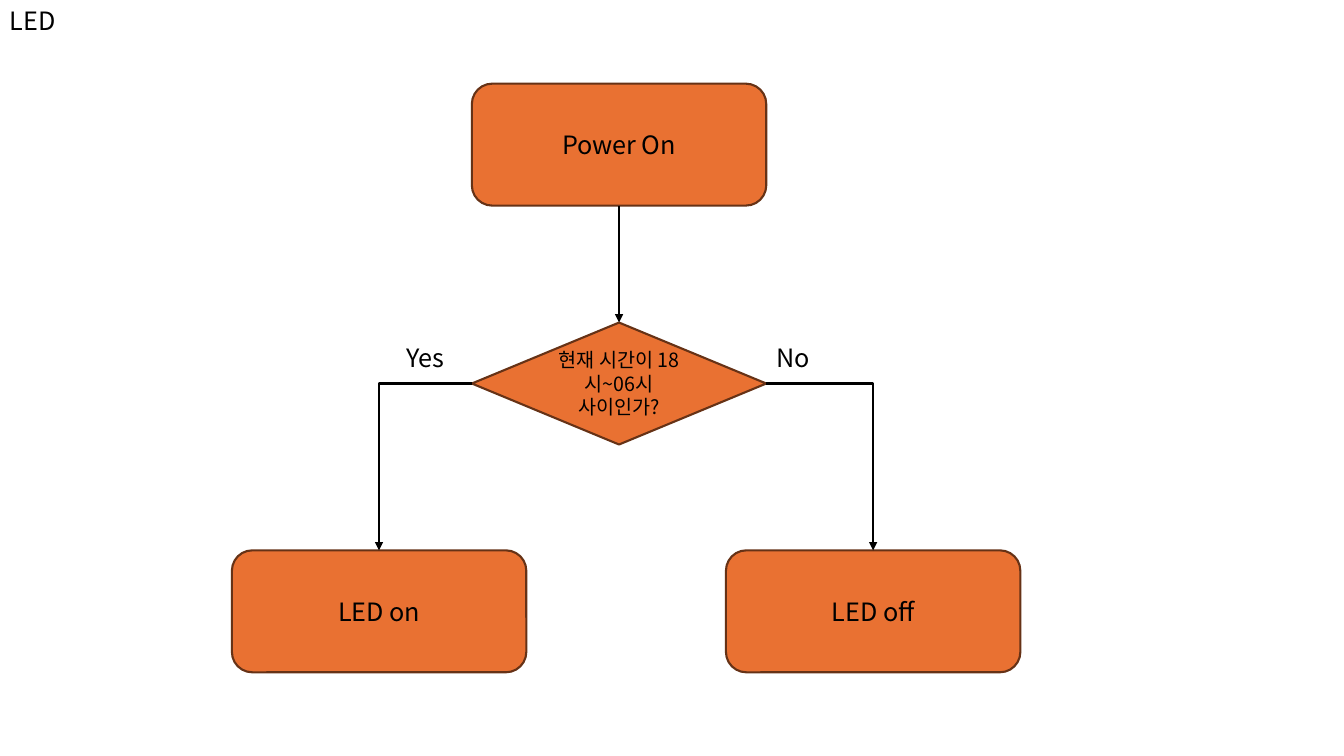
from dataclasses import dataclass

from lxml import etree
from pptx import Presentation
from pptx.dml.color import RGBColor
from pptx.enum.shapes import MSO_CONNECTOR, MSO_SHAPE
from pptx.enum.text import MSO_ANCHOR, MSO_AUTO_SIZE, PP_ALIGN
from pptx.oxml.ns import qn
from pptx.util import Emu, Pt

ROUNDED = MSO_SHAPE.ROUNDED_RECTANGLE
DIAMOND = MSO_SHAPE.DIAMOND
STRAIGHT = MSO_CONNECTOR.STRAIGHT
ELBOW = MSO_CONNECTOR.ELBOW
MIDDLE = MSO_ANCHOR.MIDDLE
CENTER = PP_ALIGN.CENTER
LEFT = PP_ALIGN.LEFT
GROW = MSO_AUTO_SIZE.SHAPE_TO_FIT_TEXT

PX = 9144
SLIDE_WIDTH, SLIDE_HEIGHT = 1333, 750
NODE_WIDTH, NODE_HEIGHT = 292, 121
LABEL_WIDTH, LABEL_HEIGHT = 75, 40
TOP_SITE, LEFT_SITE, BOTTOM_SITE, RIGHT_SITE = range(4)


@dataclass(frozen=True)
class Theme:
    """Colours, font and sizes of the flowchart."""

    font: str = "Noto Sans CJK KR"
    text: RGBColor = RGBColor(0x00, 0x00, 0x00)
    fill: RGBColor = RGBColor(0xE9, 0x71, 0x32)
    outline: RGBColor = RGBColor(0x66, 0x32, 0x16)
    arrow: RGBColor = RGBColor(0x00, 0x00, 0x00)
    body_size: Pt = Pt(18)
    question_size: Pt = Pt(14)
    line_width: Pt = Pt(1.5)


THEME = Theme()


def px(*lengths):
    """Turn pixel lengths into EMU."""
    return [Emu(length * PX) for length in lengths]


def write_text(shape, text, size, alignment):
    """Write one styled run into a shape."""
    paragraph = shape.text_frame.paragraphs[0]
    paragraph.alignment = alignment
    run = paragraph.add_run()
    run.text = text
    run.font.size = size
    run.font.color.rgb = THEME.text
    run.font.name = THEME.font
    etree.SubElement(run.font._element, qn("a:ea"), typeface=THEME.font)


def add_node(slide, kind, left, top, text, size=THEME.body_size):
    """Add one flowchart node."""
    shape = slide.shapes.add_shape(kind, *px(left, top, NODE_WIDTH, NODE_HEIGHT))
    shape.shadow.inherit = False
    shape.fill.solid()
    shape.fill.fore_color.rgb = THEME.fill
    shape.line.color.rgb = THEME.outline
    shape.line.width = THEME.line_width
    shape.text_frame.word_wrap = True
    shape.text_frame.vertical_anchor = MIDDLE
    write_text(shape, text, size, CENTER)
    return shape


def add_arrow(slide, kind, source, source_site, target):
    """Join a side of one node to the top of another with an arrow."""
    connector = slide.shapes.add_connector(kind, 0, 0, 0, 0)
    connector.begin_connect(source, source_site)
    connector.end_connect(target, TOP_SITE)
    connector.line.color.rgb = THEME.arrow
    connector.line.width = THEME.line_width
    properties = connector._element.spPr
    if kind == ELBOW:
        properties.find(qn("a:prstGeom")).set("prst", "bentConnector2")
    etree.SubElement(properties.find(qn("a:ln")), qn("a:tailEnd"), type="triangle")
    etree.SubElement(properties, qn("a:effectLst"))


def add_label(slide, left, top, width, text):
    """Add a plain line of text."""
    label = slide.shapes.add_textbox(*px(left, top, width, LABEL_HEIGHT))
    label.text_frame.word_wrap = True
    label.text_frame.auto_size = GROW
    write_text(label, text, THEME.body_size, LEFT)


def add_flowchart(slide, left, top):
    """Place the decision flow with its corner at the given point."""
    middle = left + 238
    decision_top = top + 237
    result_top = top + 463
    power = add_node(slide, ROUNDED, middle, top, "Power On")
    decision = add_node(slide, DIAMOND, middle, decision_top,
                        "현재 시간이 18시~06시 사이인가?", THEME.question_size)
    led_on = add_node(slide, ROUNDED, left, result_top, "LED on")
    led_off = add_node(slide, ROUNDED, left + 490, result_top, "LED off")
    add_arrow(slide, STRAIGHT, power, BOTTOM_SITE, decision)
    add_arrow(slide, ELBOW, decision, LEFT_SITE, led_on)
    add_arrow(slide, ELBOW, decision, RIGHT_SITE, led_off)
    label_top = decision_top + 15
    add_label(slide, middle - LABEL_WIDTH, label_top, LABEL_WIDTH, "Yes")
    add_label(slide, middle + NODE_WIDTH, label_top, LABEL_WIDTH, "No")


def main():
    """Build and save the slide."""
    presentation = Presentation()
    presentation.slide_width, presentation.slide_height = px(SLIDE_WIDTH, SLIDE_HEIGHT)
    slide = presentation.slides.add_slide(presentation.slide_layouts[6])
    add_flowchart(slide, 230, 83)
    add_label(slide, 0, 0, 244, "LED")
    presentation.save("out.pptx")


if __name__ == "__main__":
    main()
